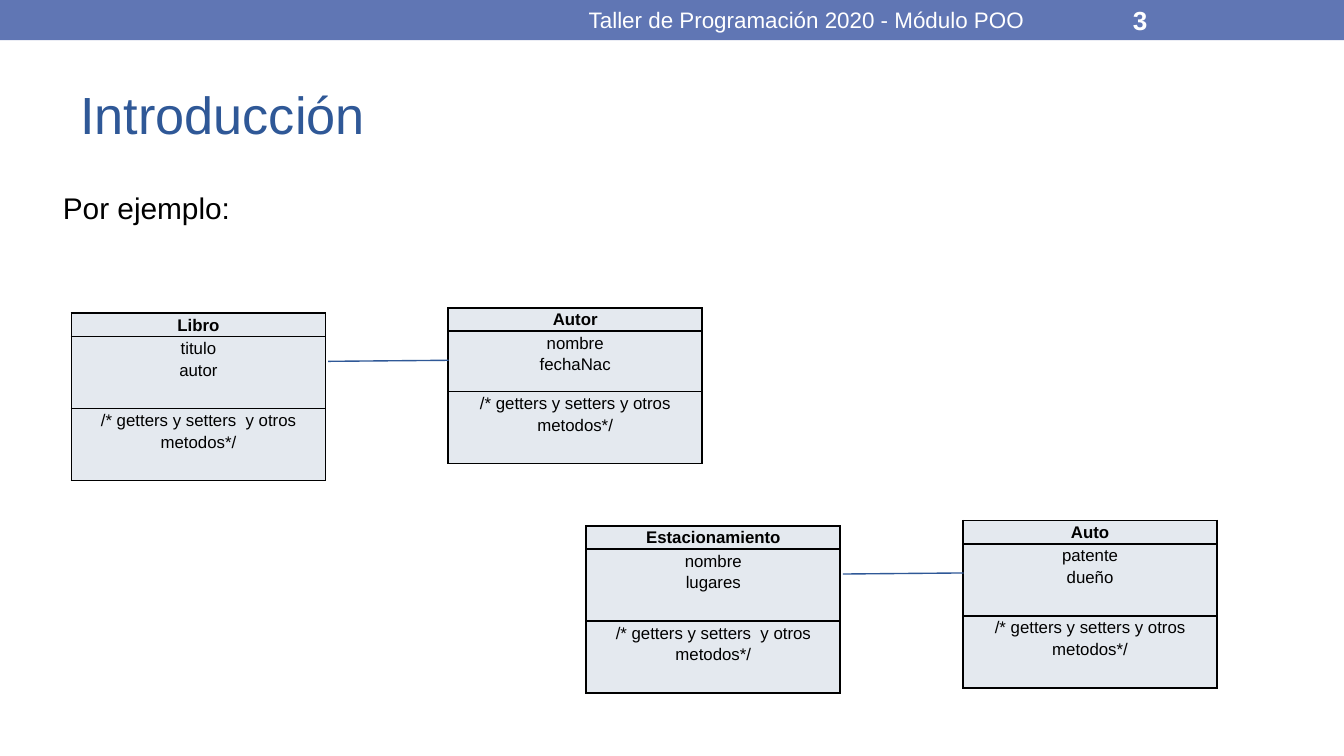
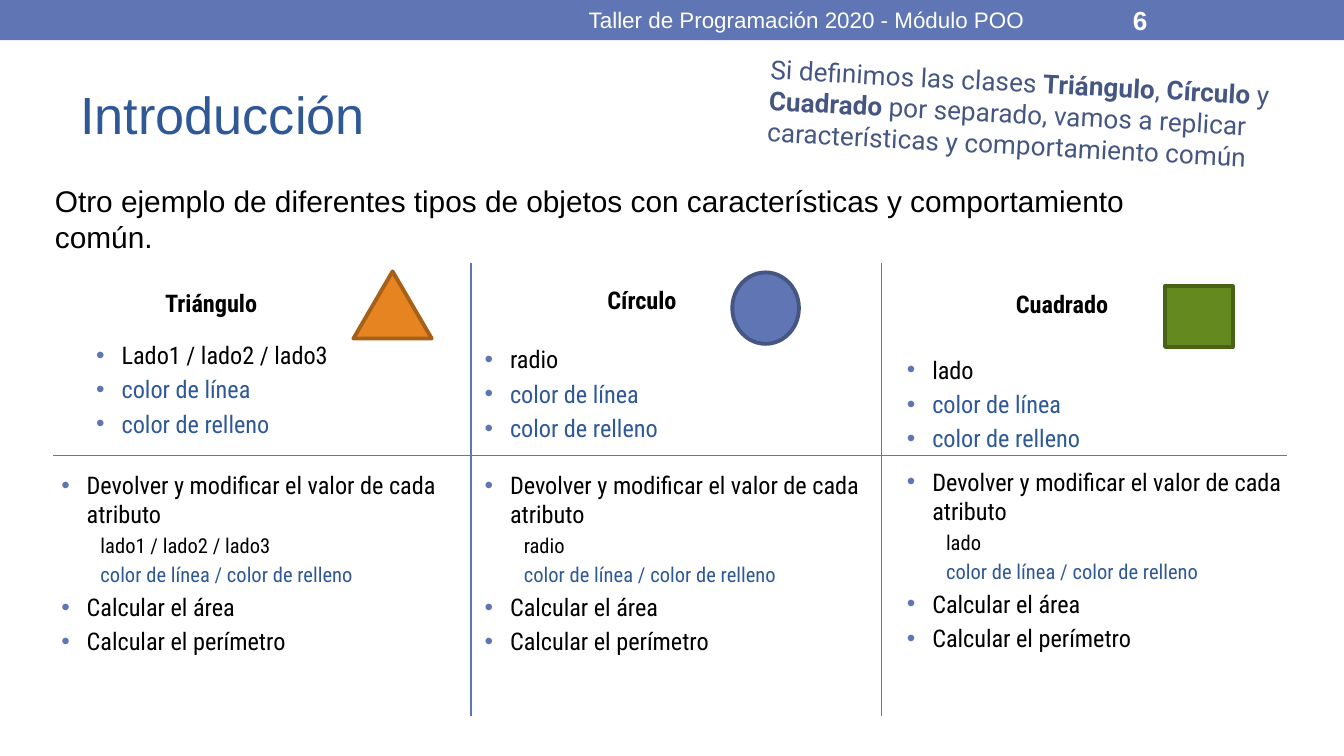
from dataclasses import dataclass, replace
from lxml.etree import SubElement
from pptx import Presentation
from pptx.dml.color import RGBColor
from pptx.enum.shapes import MSO_CONNECTOR as Connector, MSO_SHAPE as Shape
from pptx.enum.text import MSO_ANCHOR as Anchor, PP_ALIGN as Align
from pptx.oxml.ns import qn
from pptx.util import Cm, Pt


@dataclass(frozen=True)
class Theme:
    band: str = "6076B4"
    accent: str = "2F5897"
    muted: str = "465683"
    ink: str = "000000"
    paper: str = "FFFFFF"
    cell: str = "E4E9EF"
    orange: str = "E68422"
    orange_edge: str = "A76018"
    green: str = "63891F"
    green_edge: str = "486316"
    sans: str = "Arial"
    rounded: str = "Roboto"
    narrow: str = "Roboto Condensed"
    title_size: float = 28
    lead_size: float = 16
    number_size: float = 14
    list_size: float = 13
    footer_size: float = 12
    detail_size: float = 11
    cell_size: float = 9
    thin: float = 0.75
    edge: float = 2.08


THEME = Theme()


@dataclass(frozen=True)
class Span:
    text: str
    size: float
    color: str = THEME.ink
    bold: bool = False
    font: str = THEME.sans


@dataclass(frozen=True)
class Para:
    spans: tuple
    bullet: bool = False
    indent: float = 0
    before: float = 0
    after: float = 0
    spacing: float = 1
    align: Align = Align.LEFT


@dataclass(frozen=True)
class Figure:
    name: str
    heading: tuple
    attributes: str
    attributes_area: tuple
    methods: str
    methods_area: tuple
    shape: Shape
    shape_area: tuple
    fill: str
    edge: str


def color(value):
    return RGBColor.from_string(value)


class Builder:
    def __init__(self, theme):
        self.theme = theme
        self.deck = Presentation()
        self.deck.slide_width = Cm(25.4)
        self.deck.slide_height = Cm(14.29)
        self.page = None

    def start_page(self, title, number):
        theme = self.theme
        self.page = self.deck.slides.add_slide(self.deck.slide_layouts[6])
        self.shape(Shape.RECTANGLE, (0, 0, 25.4, 0.76), theme.band)
        self.text((1.27, 1.12, 22.86, 2.06),
                  [Para((Span(title, theme.title_size, theme.accent),))], Anchor.MIDDLE)
        footer = Span("Taller de Programación 2020 - Módulo POO", theme.footer_size, theme.paper)
        self.text((9.53, 0.03, 11.43, 0.69), [Para((footer,), align=Align.CENTER)], Anchor.MIDDLE)
        page_number = Span(str(number), theme.number_size, theme.paper, True)
        self.text((21.16, 0.03, 2.97, 0.69), [Para((page_number,))], Anchor.MIDDLE)

    def shape(self, kind, area, fill, edge=None):
        shape = self.page.shapes.add_shape(kind, *map(Cm, area))
        shape.shadow.inherit = False
        shape.fill.solid()
        shape.fill.fore_color.rgb = color(fill)
        if edge:
            shape.line.color.rgb = color(edge)
            shape.line.width = Pt(self.theme.edge)
        else:
            shape.line.fill.background()

    def line(self, start, end, stroke):
        line = self.page.shapes.add_connector(Connector.STRAIGHT, *map(Cm, start + end))
        line.line.color.rgb = color(stroke)
        line.line.width = Pt(self.theme.thin)
        SubElement(line.element.spPr, qn("a:effectLst"))

    def text(self, area, paras, anchor=Anchor.TOP, inset=0.13, rotation=0):
        box = self.page.shapes.add_textbox(*map(Cm, area))
        box.rotation = rotation
        frame = box.text_frame
        frame.word_wrap = True
        frame.vertical_anchor = anchor
        frame.margin_left = frame.margin_right = Cm(0.25)
        frame.margin_top = frame.margin_bottom = Cm(inset)
        self.fill_frame(frame, paras)

    def fill_frame(self, frame, paras):
        for index, para in enumerate(paras):
            paragraph = frame.add_paragraph() if index else frame.paragraphs[0]
            if para.bullet:
                self.bullet(paragraph)
            elif para.indent:
                paragraph._p.get_or_add_pPr().set("marL", str(Cm(para.indent)))
            paragraph.alignment = para.align
            paragraph.line_spacing = para.spacing
            paragraph.space_before = Pt(para.before if index else 0)
            paragraph.space_after = Pt(para.after)
            for span in para.spans:
                run = paragraph.add_run()
                run.text = span.text
                run.font.name = span.font
                run.font.size = Pt(span.size)
                run.font.bold = span.bold
                run.font.color.rgb = color(span.color)

    def bullet(self, paragraph):
        properties = paragraph._p.get_or_add_pPr()
        properties.set("marL", str(Cm(0.5)))
        properties.set("indent", str(-Cm(0.48)))
        tint = SubElement(properties, qn("a:buClr"))
        SubElement(tint, qn("a:srgbClr"), val=self.theme.band)
        SubElement(properties, qn("a:buFont"), typeface=self.theme.sans)
        SubElement(properties, qn("a:buChar"), char="•")

    def border(self, cell):
        properties = cell._tc.get_or_add_tcPr()
        for side in ("lnL", "lnR", "lnT", "lnB"):
            edge = SubElement(properties, qn(f"a:{side}"), w=str(Pt(1)))
            fill = SubElement(edge, qn("a:solidFill"))
            SubElement(fill, qn("a:srgbClr"), val=self.theme.ink)

    def class_table(self, left, top, name, fields, methods, heights):
        holder = self.page.shapes.add_table(3, 1, Cm(left), Cm(top), Cm(4.8), Cm(sum(heights)))
        table = holder.table
        table.first_row = table.horz_banding = False
        for index, lines in enumerate(([name], fields, [methods])):
            table.rows[index].height = Cm(heights[index])
            cell = table.cell(index, 0)
            cell.margin_left = cell.margin_right = Cm(0.18)
            cell.margin_top = cell.margin_bottom = 0
            self.border(cell)
            cell.fill.solid()
            cell.fill.fore_color.rgb = color(self.theme.cell)
            self.fill_frame(cell.text_frame, [
                Para((Span(line, self.theme.cell_size, bold=index == 0),),
                     spacing=1.15, align=Align.CENTER)
                for line in lines])

    def class_pair(self, left, top, first, second, second_fields_height=1.36):
        self.class_table(left, top, *first, "/* getters y setters  y otros metodos*/",
                         (0.42, 1.36, 1.36))
        self.class_table(left + 7.12, top - 0.1, *second, "/* getters y setters y otros metodos*/",
                         (0.42, second_fields_height, 1.36))
        self.line((left + 4.85, top + 0.91), (left + 7.13, top + 0.89), self.theme.accent)

    def figure_column(self, figure):
        theme = self.theme
        entry = Span("", theme.list_size, font=theme.narrow)
        detail = replace(entry, size=theme.detail_size)

        def item(text, tint=theme.ink):
            return Para((replace(entry, text=text, color=tint),), bullet=True, before=2.8)

        def note(text, tint=theme.ink):
            return Para((replace(detail, text=text, color=tint),), indent=0.76, before=2.4)

        self.text(figure.heading, [Para((replace(entry, text=figure.name, bold=True),))])
        self.text(figure.attributes_area, [
            item(figure.attributes),
            item("color de línea", theme.accent),
            item("color de relleno", theme.accent)])
        self.text(figure.methods_area, [
            item("Devolver y modificar el valor de cada atributo"),
            note(figure.methods),
            note("color de línea / color de relleno", theme.accent),
            item("Calcular el área"),
            item("Calcular el perímetro")])
        self.shape(figure.shape, figure.shape_area, figure.fill, figure.edge)


FIGURES = (
    Figure("Triángulo", (2.87, 5.31, 3.91, 0.86),
           "Lado1 / lado2 / lado3", (1.55, 6.3, 6.35, 2.39),
           "lado1 / lado2 / lado3", (0.89, 8.76, 8, 4.6),
           Shape.ISOSCELES_TRIANGLE, (6.68, 5.13, 1.48, 1.27), THEME.orange, THEME.orange_edge),
    Figure("Círculo", (11.23, 5.26, 2.97, 0.86),
           "radio", (8.89, 6.38, 6.07, 2.39),
           "radio", (8.89, 8.76, 7.8, 5.1),
           Shape.OVAL, (13.84, 5.15, 1.26, 1.35), THEME.band, THEME.muted),
    Figure("Cuadrado", (18.95, 5.33, 3.78, 0.86),
           "lado", (16.87, 6.58, 5.23, 2.39),
           "lado", (16.87, 8.7, 7.8, 5.1),
           Shape.RECTANGLE, (22.02, 5.41, 1.28, 1.15), THEME.green, THEME.green_edge),
)


def build_classes(builder):
    builder.start_page("Introducción", 3)
    lead = Span("Por ejemplo:", THEME.lead_size)
    builder.text((0.94, 3.35, 23.55, 2.06), [Para((lead,), after=20, spacing=1.15)])
    builder.class_pair(1.35, 5.92, ("Libro", ["titulo", "autor"]),
                       ("Autor", ["nombre", "fechaNac"]), 1.14)
    builder.class_pair(11.08, 9.94, ("Estacionamiento", ["nombre", "lugares"]),
                       ("Auto", ["patente", "dueño"]))


def build_figures(builder):
    builder.start_page("Introducción", 6)
    lead = Span("Otro ejemplo de diferentes tipos de objetos con características "
                "y comportamiento común.", THEME.lead_size)
    builder.text((0.79, 3.33, 22.66, 1.12), [Para((lead,))])
    for left in (8.9, 16.66):
        builder.line((left, 4.98), (left, 13.54), THEME.band)
    builder.line((1.01, 8.61), (24.33, 8.61), THEME.band)
    for figure in FIGURES:
        builder.figure_column(figure)
    pieces = ("Si definimos las clases ", "Triángulo", ", ", "Círculo", " y ", "Cuadrado",
              " por separado, vamos a replicar características y comportamiento común")
    spans = tuple(Span(piece, THEME.number_size, THEME.muted, index % 2 == 1, THEME.rounded)
                  for index, piece in enumerate(pieces))
    builder.text((14.27, 1.02, 10.69, 2.57), [Para(spans)], inset=0.25, rotation=3)


def main():
    builder = Builder(THEME)
    build_classes(builder)
    build_figures(builder)
    builder.deck.save("out.pptx")


if __name__ == "__main__":
    main()
